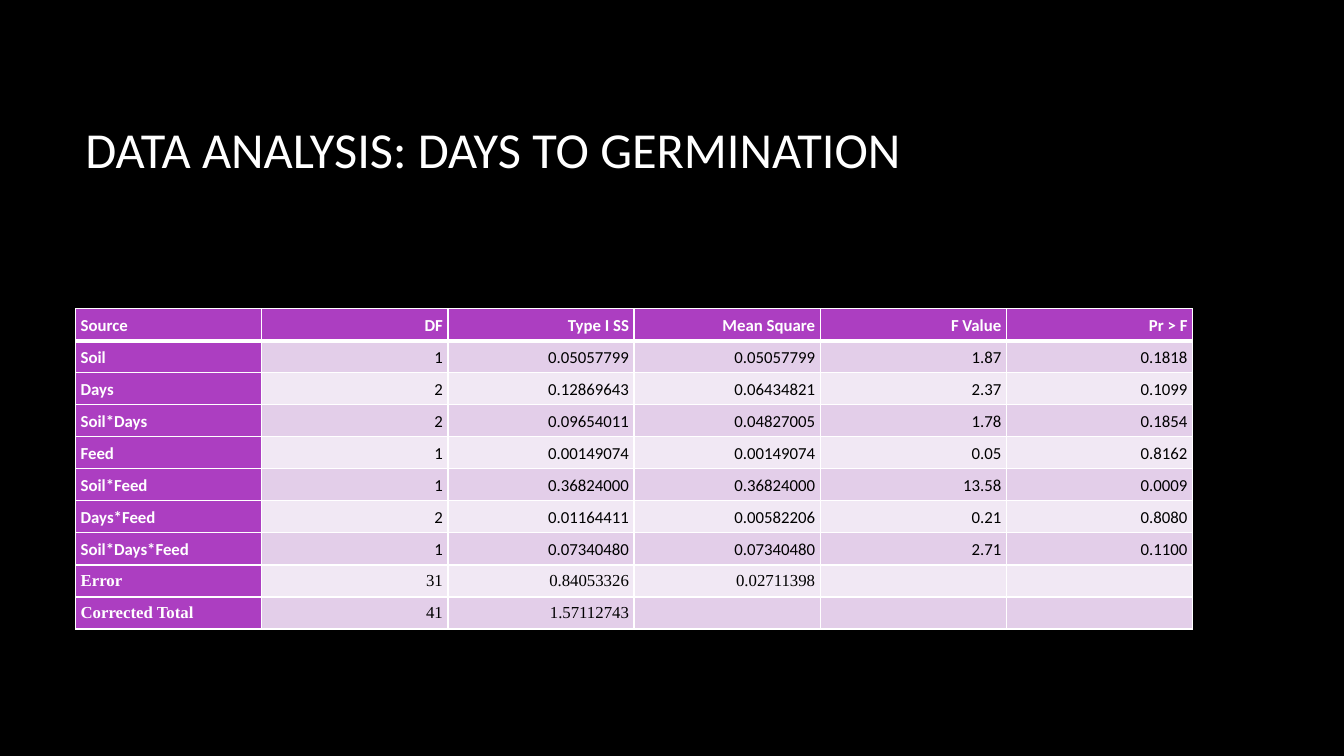
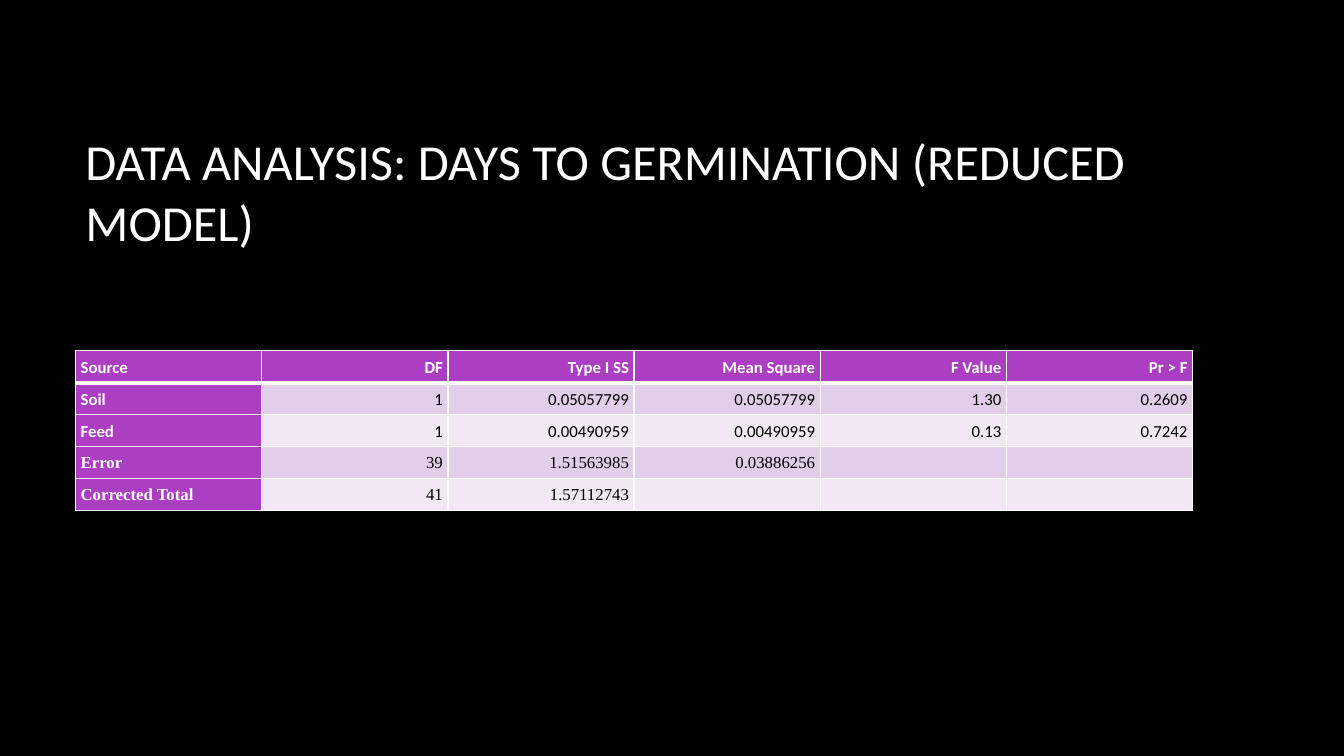
from lxml import etree
from pptx import Presentation
from pptx.dml.color import RGBColor
from pptx.enum.text import MSO_ANCHOR, PP_ALIGN
from pptx.oxml.ns import qn
from pptx.util import Pt

# Shared look
BLACK = RGBColor(0x00, 0x00, 0x00)
WHITE = RGBColor(0xFF, 0xFF, 0xFF)
PURPLE = RGBColor(0xAC, 0x3E, 0xC1)
BANDS = (RGBColor(0xE3, 0xCE, 0xE9), RGBColor(0xF1, 0xE8, 0xF4))
SANS = "Calibri"
SERIF = "Times New Roman"
LEFT = PP_ALIGN.LEFT
RIGHT = PP_ALIGN.RIGHT
MIDDLE = MSO_ANCHOR.MIDDLE

# Shared layout, in points
SLIDE_WIDTH, SLIDE_HEIGHT = 960, 540
MARGIN_LEFT, CONTENT_WIDTH = 54, 798
TITLE_HEIGHT = 114.5
TITLE_SIZE, TABLE_SIZE = 36, 12
ROW_HEIGHT = 22.9
CELL_MARGIN = 3.6
THIN, THICK = 1, 3

# Table contents
HEADINGS = ("Source", "DF", "Type I SS", "Mean Square", "F Value", "Pr > F")
SUMMARY_ROWS = ("Error", "Corrected Total")
FULL_MODEL = (
    ("Soil", "1", "0.05057799", "0.05057799", "1.87", "0.1818"),
    ("Days", "2", "0.12869643", "0.06434821", "2.37", "0.1099"),
    ("Soil*Days", "2", "0.09654011", "0.04827005", "1.78", "0.1854"),
    ("Feed", "1", "0.00149074", "0.00149074", "0.05", "0.8162"),
    ("Soil*Feed", "1", "0.36824000", "0.36824000", "13.58", "0.0009"),
    ("Days*Feed", "2", "0.01164411", "0.00582206", "0.21", "0.8080"),
    ("Soil*Days*Feed", "1", "0.07340480", "0.07340480", "2.71", "0.1100"),
    ("Error", "31", "0.84053326", "0.02711398", "", ""),
    ("Corrected Total", "41", "1.57112743", "", "", ""),
)
REDUCED_MODEL = (
    ("Soil", "1", "0.05057799", "0.05057799", "1.30", "0.2609"),
    ("Feed", "1", "0.00490959", "0.00490959", "0.13", "0.7242"),
    ("Error", "39", "1.51563985", "0.03886256", "", ""),
    ("Corrected Total", "41", "1.57112743", "", "", ""),
)


def write_text(frame, text, *, size, color, font=SANS, bold=False,
               align=LEFT, line_spacing=1.0):
    """Fill the first paragraph of a text frame with one formatted span."""
    para = frame.paragraphs[0]
    para.alignment = align
    para.line_spacing = line_spacing
    if not text:
        # An empty cell keeps the text size, so that its row does not grow
        etree.SubElement(para._p, qn("a:endParaRPr"), sz=str(size * 100))
        return
    span = para.add_run()
    span.text = text
    span.font.size = Pt(size)
    span.font.name = font
    span.font.bold = bold
    span.font.color.rgb = color


def set_borders(cell, **widths):
    """Draw white cell borders; call before the cell gets its fill."""
    properties = cell._tc.get_or_add_tcPr()
    for side in ("L", "R", "T", "B"):
        width = Pt(widths.get(side, THIN))
        line = etree.SubElement(properties, qn(f"a:ln{side}"), w=str(width))
        fill = etree.SubElement(line, qn("a:solidFill"))
        etree.SubElement(fill, qn("a:srgbClr"), val=str(WHITE))


def add_title(page, text, top):
    box = page.shapes.add_textbox(Pt(MARGIN_LEFT), Pt(top),
                                  Pt(CONTENT_WIDTH), Pt(TITLE_HEIGHT))
    frame = box.text_frame
    frame.word_wrap = True
    frame.vertical_anchor = MIDDLE
    write_text(frame, text, size=TITLE_SIZE, color=WHITE)


def format_cell(cell, text, row, column, font):
    cell.margin_left = cell.margin_right = Pt(CELL_MARGIN)
    cell.margin_top = cell.margin_bottom = Pt(CELL_MARGIN)
    # A thick rule separates the heading row from the body
    set_borders(cell, **{0: {"B": THICK}, 1: {"T": THICK}}.get(row, {}))
    is_label = row == 0 or column == 0
    cell.fill.solid()
    cell.fill.fore_color.rgb = PURPLE if is_label else BANDS[(row - 1) % 2]
    write_text(cell.text_frame, text, size=TABLE_SIZE, font=font,
               color=WHITE if is_label else BLACK, bold=is_label,
               align=RIGHT if column else LEFT, line_spacing=1.07)


def add_variance_table(page, body, top):
    rows = (HEADINGS, *body)
    table = page.shapes.add_table(
        len(rows), len(HEADINGS), Pt(MARGIN_LEFT), Pt(top),
        Pt(CONTENT_WIDTH), Pt(ROW_HEIGHT * len(rows))).table
    for column in table.columns:
        column.width = Pt(CONTENT_WIDTH / len(HEADINGS))
    for row, values in enumerate(rows):
        table.rows[row].height = Pt(ROW_HEIGHT)
        font = SERIF if values[0] in SUMMARY_ROWS else SANS
        for column, text in enumerate(values):
            format_cell(table.cell(row, column), text, row, column, font)


def add_analysis_page(deck, title, title_top, body, table_top):
    page = deck.slides.add_slide(deck.slide_layouts[6])
    page.background.fill.solid()
    page.background.fill.fore_color.rgb = BLACK
    add_title(page, title, title_top)
    add_variance_table(page, body, table_top)


def main():
    deck = Presentation()
    deck.slide_width, deck.slide_height = Pt(SLIDE_WIDTH), Pt(SLIDE_HEIGHT)
    # Full model
    add_analysis_page(deck, "DATA ANALYSIS: DAYS TO GERMINATION", 48.5,
                      FULL_MODEL, 220.5)
    # Reduced model
    add_analysis_page(deck,
                      "DATA ANALYSIS: DAYS TO GERMINATION (REDUCED MODEL)", 79,
                      REDUCED_MODEL, 250.5)
    deck.save("out.pptx")


if __name__ == "__main__":
    main()
